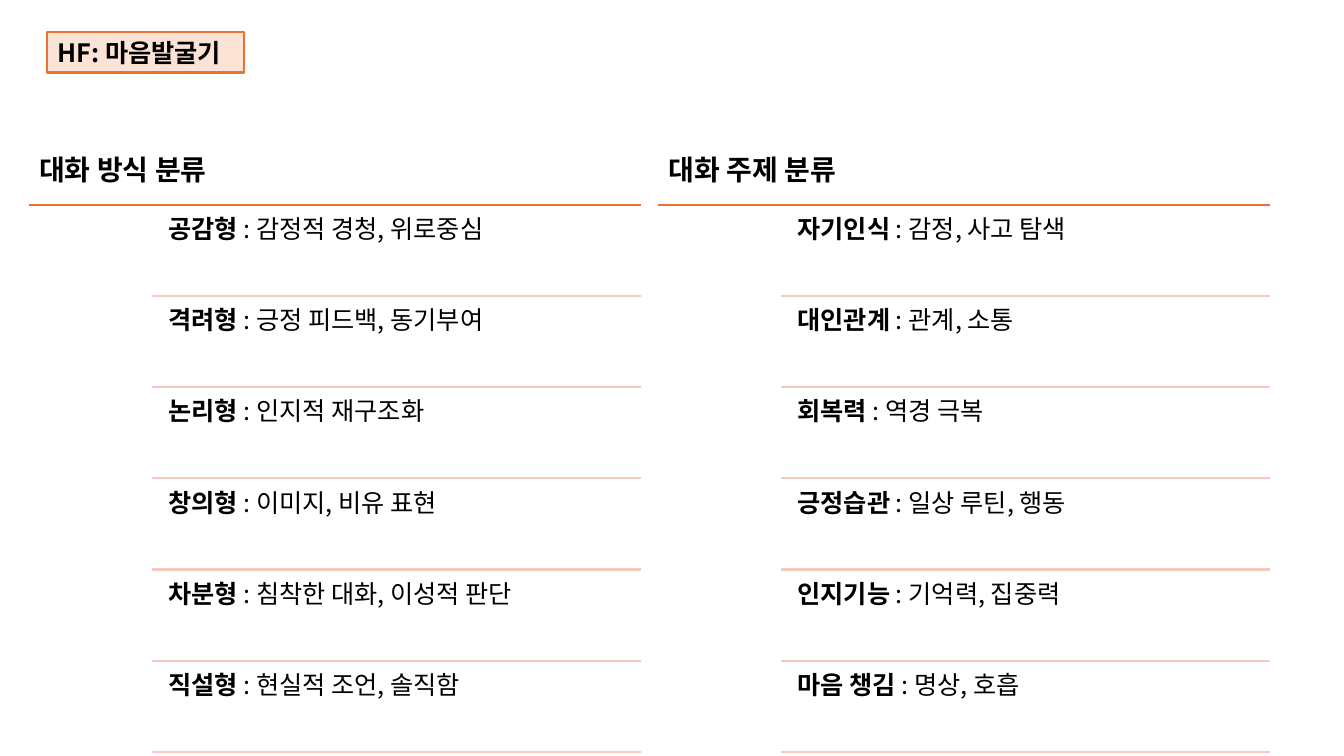
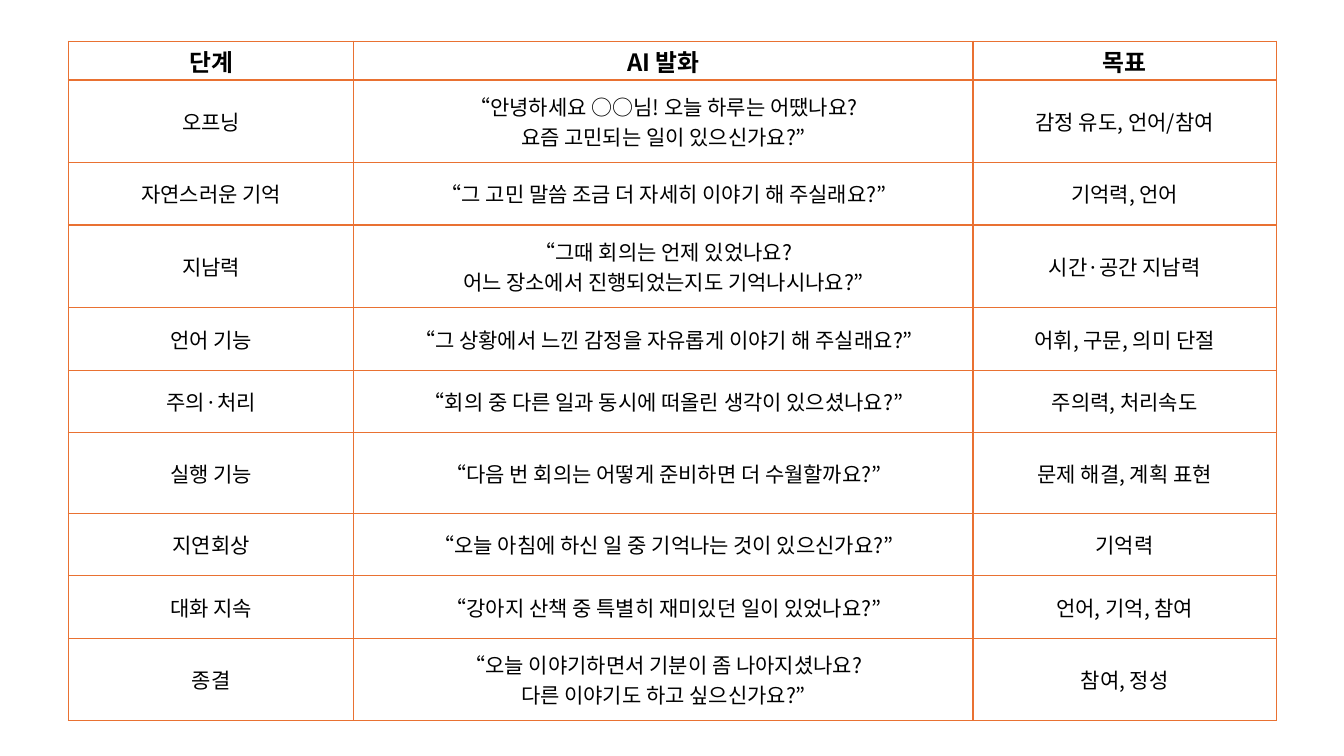
from lxml import etree
from pptx import Presentation
from pptx.dml.color import RGBColor
from pptx.enum.shapes import MSO_CONNECTOR, MSO_SHAPE
from pptx.enum.text import MSO_ANCHOR, PP_ALIGN
from pptx.oxml.ns import qn
from pptx.util import Inches, Pt

RECT = MSO_SHAPE.RECTANGLE
STRAIGHT = MSO_CONNECTOR.STRAIGHT
TOP, MIDDLE = MSO_ANCHOR.TOP, MSO_ANCHOR.MIDDLE
LEFT, CENTER = PP_ALIGN.LEFT, PP_ALIGN.CENTER

FONT = "Noto Sans CJK KR"
COLORS = {"text": "000000", "accent": "E97132", "tint": "FBE3D6", "rule": "F4C9BF"}

# Lists of the first slide: left edge, heading, rows
LISTS = [
    (0.29, "대화 방식 분류", [
        ("공감형", "감정적 경청, 위로중심"),
        ("격려형", "긍정 피드백, 동기부여"),
        ("논리형", "인지적 재구조화"),
        ("창의형", "이미지, 비유 표현"),
        ("차분형", "침착한 대화, 이성적 판단"),
        ("직설형", "현실적 조언, 솔직함"),
    ]),
    (6.53, "대화 주제 분류", [
        ("자기인식", "감정, 사고 탐색"),
        ("대인관계", "관계, 소통"),
        ("회복력", "역경 극복"),
        ("긍정습관", "일상 루틴, 행동"),
        ("인지기능", "기억력, 집중력"),
        ("마음 챙김", "명상, 호흡"),
    ]),
]
LIST_TOP, LIST_END = 2.03, 7.46

# Table of the second slide: row height, then cells
WIDTHS = [2.83, 6.14, 3.01]
STAGES = [
    (0.3, "단계", "AI 발화", "목표"),
    (0.82, "오프닝", "“안녕하세요 ○○님! 오늘 하루는 어땠나요?\n요즘 고민되는 일이 있으신가요?”", "감정 유도, 언어/참여"),
    (0.62, "자연스러운 기억", "“그 고민 말씀 조금 더 자세히 이야기 해 주실래요?”", "기억력, 언어"),
    (0.82, "지남력", "“그때 회의는 언제 있었나요?\n어느 장소에서 진행되었는지도 기억나시나요?”", "시간·공간 지남력"),
    (0.62, "언어 기능", "“그 상황에서 느낀 감정을 자유롭게 이야기 해 주실래요?”", "어휘, 구문, 의미 단절"),
    (0.62, "주의·처리", "“회의 중 다른 일과 동시에 떠올린 생각이 있으셨나요?”", "주의력, 처리속도"),
    (0.8, "실행 기능", "“다음 번 회의는 어떻게 준비하면 더 수월할까요?”", "문제 해결, 계획 표현"),
    (0.62, "지연회상", "“오늘 아침에 하신 일 중 기억나는 것이 있으신가요?”", "기억력"),
    (0.62, "대화 지속", "“강아지 산책 중 특별히 재미있던 일이 있었나요?”", "언어, 기억, 참여"),
    (0.82, "종결", "“오늘 이야기하면서 기분이 좀 나아지셨나요?\n다른 이야기도 하고 싶으신가요?”", "참여, 정성"),
]


def color(name):
    return RGBColor.from_string(COLORS[name])


def write(frame, text, size=18, bold=False, lead="", align=LEFT, spacing=None):
    """Fill a text frame, one paragraph per line, after an optional bold lead."""
    for i, line in enumerate(text.split("\n")):
        par = frame.add_paragraph() if i else frame.paragraphs[0]
        par.alignment = align
        if spacing:
            par.line_spacing = spacing
        parts = [(lead, True)] if lead and not i else []
        for part, heavy in parts + [(line, bold)]:
            run = par.add_run()
            run.text = part
            font = run.font
            font.name, font.size, font.bold = FONT, Pt(size), heavy
            font.color.rgb = color("text")
            # East Asian text takes its font from its own element
            ea = etree.SubElement(run._r.get_or_add_rPr(), qn("a:ea"))
            ea.set("typeface", FONT)


def add_text(slide, x, y, w, h, text, inset=None, **style):
    frame = slide.shapes.add_textbox(Inches(x), Inches(y), Inches(w), Inches(h)).text_frame
    frame.word_wrap = True
    frame.vertical_anchor = TOP
    if inset is not None:
        frame.margin_left = frame.margin_right = Inches(inset)
        frame.margin_top = frame.margin_bottom = Inches(inset)
    write(frame, text, **style)


def add_label(slide, x, y, w, h, text):
    box = slide.shapes.add_shape(RECT, Inches(x), Inches(y), Inches(w), Inches(h))
    box.shadow.inherit = False
    box.fill.solid()
    box.fill.fore_color.rgb = color("tint")
    box.line.color.rgb = color("accent")
    box.line.width = Pt(1.5)
    box.text_frame.word_wrap = True
    box.text_frame.vertical_anchor = MIDDLE
    write(box.text_frame, text, bold=True)


def add_rule(slide, left, right, y, name):
    rule = slide.shapes.add_connector(STRAIGHT, Inches(left), Inches(y), Inches(right), Inches(y))
    rule.line.color.rgb = color(name)
    rule.line.width = Pt(1.5)
    etree.SubElement(rule._element.spPr, qn("a:effectLst"))


def add_list(slide, left, head, rows):
    right = left + 6.07
    step = (LIST_END - LIST_TOP) / len(rows)
    add_text(slide, left, 1.46, 2.55, 0.44, head, size=20, bold=True)
    add_rule(slide, left, right, LIST_TOP, "accent")
    for i, (term, note) in enumerate(rows):
        top = LIST_TOP + i * step
        add_text(slide, left + 1.31, top + 0.05, 4.77, 0.86, f": {note}",
                 inset=0.07, lead=f"{term} ", spacing=0.9)
        add_rule(slide, left + 1.22, right, top + step, "rule")


def set_edges(cell):
    props = cell._tc.get_or_add_tcPr()
    for i, side in enumerate(("a:lnL", "a:lnR", "a:lnT", "a:lnB")):
        edge = etree.Element(qn(side), w=str(Pt(1)))
        fill = etree.SubElement(edge, qn("a:solidFill"))
        etree.SubElement(fill, qn("a:srgbClr"), val=COLORS["accent"])
        props.insert(i, edge)


def add_grid(slide, x, y, widths, rows):
    high = sum(row[0] for row in rows)
    table = slide.shapes.add_table(len(rows), len(widths), Inches(x), Inches(y),
                                   Inches(sum(widths)), Inches(high)).table
    table.horz_banding = False
    for col, width in zip(table.columns, widths):
        col.width = Inches(width)
    for r, (height, *texts) in enumerate(rows):
        table.rows[r].height = Inches(height)
        for c, text in enumerate(texts):
            cell = table.cell(r, c)
            cell.fill.background()
            set_edges(cell)
            cell.vertical_anchor = MIDDLE
            cell.margin_left = cell.margin_right = Inches(0.04)
            cell.margin_top = cell.margin_bottom = Inches(0.02)
            write(cell.text_frame, text, size=15 if r else 17, bold=r == 0, align=CENTER)


def main():
    deck = Presentation()
    deck.slide_width, deck.slide_height = Inches(13.33), Inches(7.5)
    blank = deck.slide_layouts[6]

    # Kinds and topics of talk
    slide = deck.slides.add_slide(blank)
    add_label(slide, 0.47, 0.32, 1.95, 0.4, "HF: 마음발굴기")
    for left, head, rows in LISTS:
        add_list(slide, left, head, rows)

    # Stages of a talk
    slide = deck.slides.add_slide(blank)
    add_grid(slide, 0.68, 0.41, WIDTHS, STAGES)

    deck.save("out.pptx")


if __name__ == "__main__":
    main()
